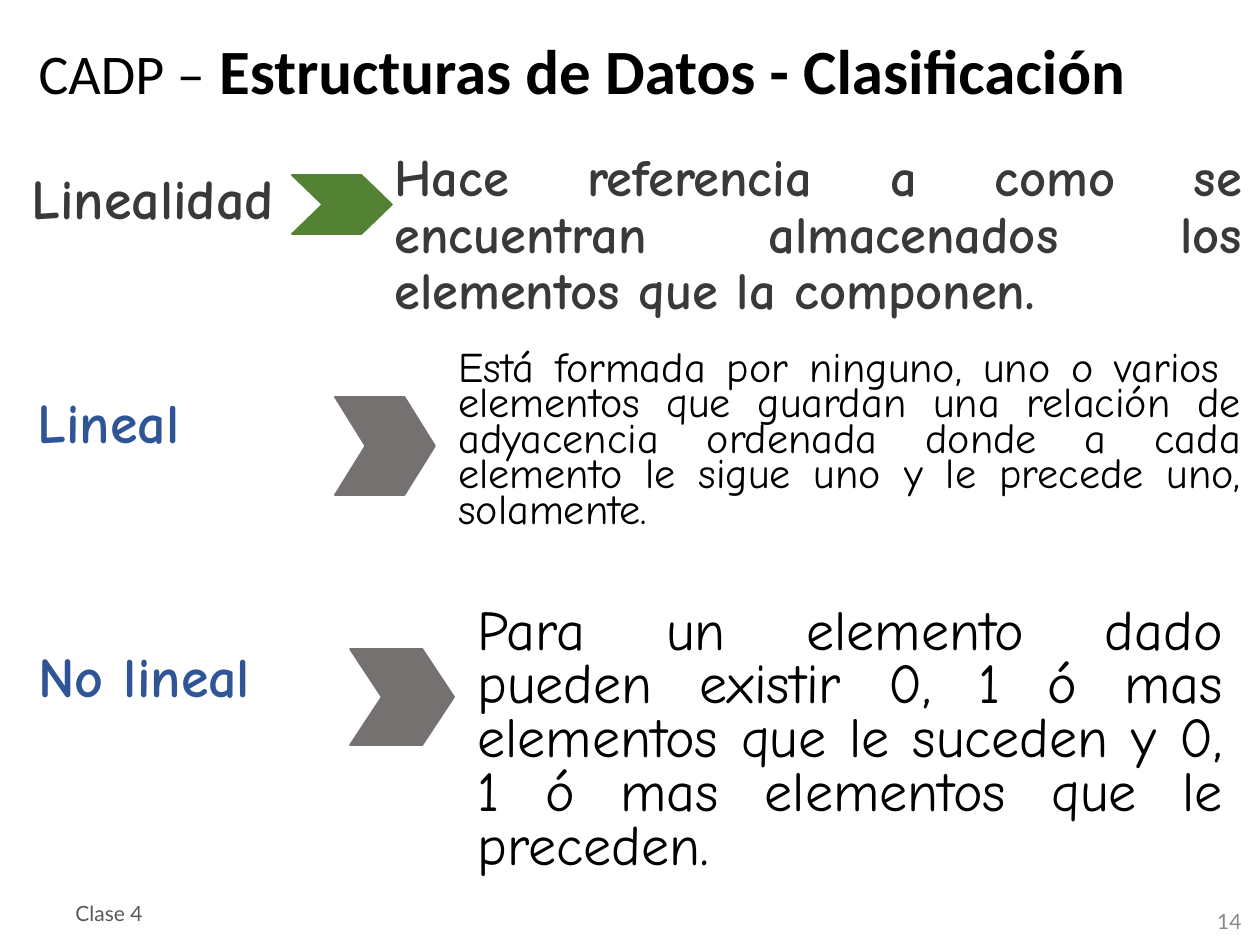
from pptx import Presentation
from pptx.dml.color import RGBColor
from pptx.enum.shapes import MSO_SHAPE
from pptx.enum.text import MSO_ANCHOR, MSO_AUTO_SIZE, PP_ALIGN
from pptx.util import Emu, Pt

CHEVRON = MSO_SHAPE.CHEVRON
TOP, MIDDLE, BOTTOM = MSO_ANCHOR.TOP, MSO_ANCHOR.MIDDLE, MSO_ANCHOR.BOTTOM
LEFT, RIGHT, JUSTIFY = PP_ALIGN.LEFT, PP_ALIGN.RIGHT, PP_ALIGN.JUSTIFY
NO_FIT = MSO_AUTO_SIZE.NONE

BLACK = RGBColor(0x00, 0x00, 0x00)
CHARCOAL = RGBColor(0x3B, 0x38, 0x38)
BLUE = RGBColor(0x2F, 0x55, 0x97)
GREEN = RGBColor(0x54, 0x82, 0x35)
WARM_GRAY = RGBColor(0x76, 0x71, 0x71)
FOOTER_GRAY = RGBColor(0x59, 0x59, 0x59)
NUMBER_GRAY = RGBColor(0x89, 0x89, 0x89)

TITLE_FONT, BODY_FONT, FOOTER_FONT = "Calibri", "Comic Neue", "Lato"
PX = 914400 / 126
NOTCH = 0.305  # depth of a chevron's point as a share of its width


def px(*lengths):
    return [Emu(round(n * PX)) for n in lengths]


class SlideBuilder:
    def __init__(self, prs):
        self.s = prs.slides.add_slide(prs.slide_layouts[5])

    def style_run(self, r, size, color, font, bold=False):
        r.font.size = Pt(size)
        r.font.color.rgb = color
        r.font.name = font
        r.font.bold = bold

    def style_frame(self, tf, anchor):
        tf.word_wrap = True
        tf.auto_size = NO_FIT
        tf.vertical_anchor = anchor

    def title(self, box, parts):
        """Fill the title with (text, size, bold) parts."""
        sp = self.s.shapes.title
        sp.left, sp.top, sp.width, sp.height = px(*box)
        self.style_frame(sp.text_frame, BOTTOM)
        p = sp.text_frame.paragraphs[0]
        p.alignment = LEFT
        p.line_spacing = 0.9
        for text, size, bold in parts:
            r = p.add_run()
            r.text = text
            self.style_run(r, size, BLACK, TITLE_FONT, bold)

    def text(self, box, text, size, color, font=BODY_FONT, bold=False,
             align=JUSTIFY, spacing=0.9, anchor=TOP):
        tf = self.s.shapes.add_textbox(*px(*box)).text_frame
        self.style_frame(tf, anchor)
        tf.text = text
        p = tf.paragraphs[0]
        p.alignment = align
        p.line_spacing = spacing
        self.style_run(p.runs[0], size, color, font, bold)

    def chevron(self, box, color):
        sp = self.s.shapes.add_shape(CHEVRON, *px(*box))
        width, height = box[2:]
        sp.adjustments[0] = NOTCH * width / min(width, height)
        sp.shadow.inherit = False
        sp.fill.solid()
        sp.fill.fore_color.rgb = color
        sp.line.color.rgb = color
        sp.line.width = Pt(1)


def main():
    prs = Presentation()
    prs.slide_width, prs.slide_height = px(1260, 945)
    slide = SlideBuilder(prs)

    slide.title((26, 19, 1169, 96), [
        ("CADP –", 32, False),
        (" Estructuras de Datos - Clasificación", 36, True),
    ])

    slide.text((19, 165, 285, 84), "Linealidad", 32, CHARCOAL, bold=True)
    slide.text((382, 145, 873, 184),
               "Hace referencia a como se encuentran almacenados los "
               "elementos que la componen.", 30, CHARCOAL, bold=True)
    slide.chevron((292, 175, 100, 59), GREEN)

    slide.text((25, 389, 311, 140), "Lineal", 32, BLUE, bold=True)
    slide.text((446, 348, 808, 214),
               "Está formada por ninguno, uno o varios  elementos que guardan "
               "una relación de adyacencia ordenada donde a cada elemento le "
               "sigue uno y le precede uno, solamente.",
               24.1, BLACK, spacing=0.7)
    slide.chevron((335, 397, 100, 98), WARM_GRAY)

    slide.text((26, 643, 324, 135), "No lineal", 32, BLUE, bold=True)
    slide.text((465, 601, 771, 302),
               "Para un elemento dado pueden existir 0, 1 ó mas elementos que "
               "le suceden y 0, 1 ó mas elementos que le preceden.",
               32, BLACK, spacing=0.8)
    slide.chevron((350, 649, 104, 96), WARM_GRAY)

    slide.text((970, 896, 284, 50), "14", 12, NUMBER_GRAY, FOOTER_FONT,
               align=RIGHT, spacing=1.0, anchor=MIDDLE)
    slide.text((63, 888, 294, 50), "Clase 4", 12, FOOTER_GRAY, FOOTER_FONT,
               align=LEFT, spacing=1.0, anchor=MIDDLE)

    prs.save("out.pptx")


if __name__ == "__main__":
    main()
